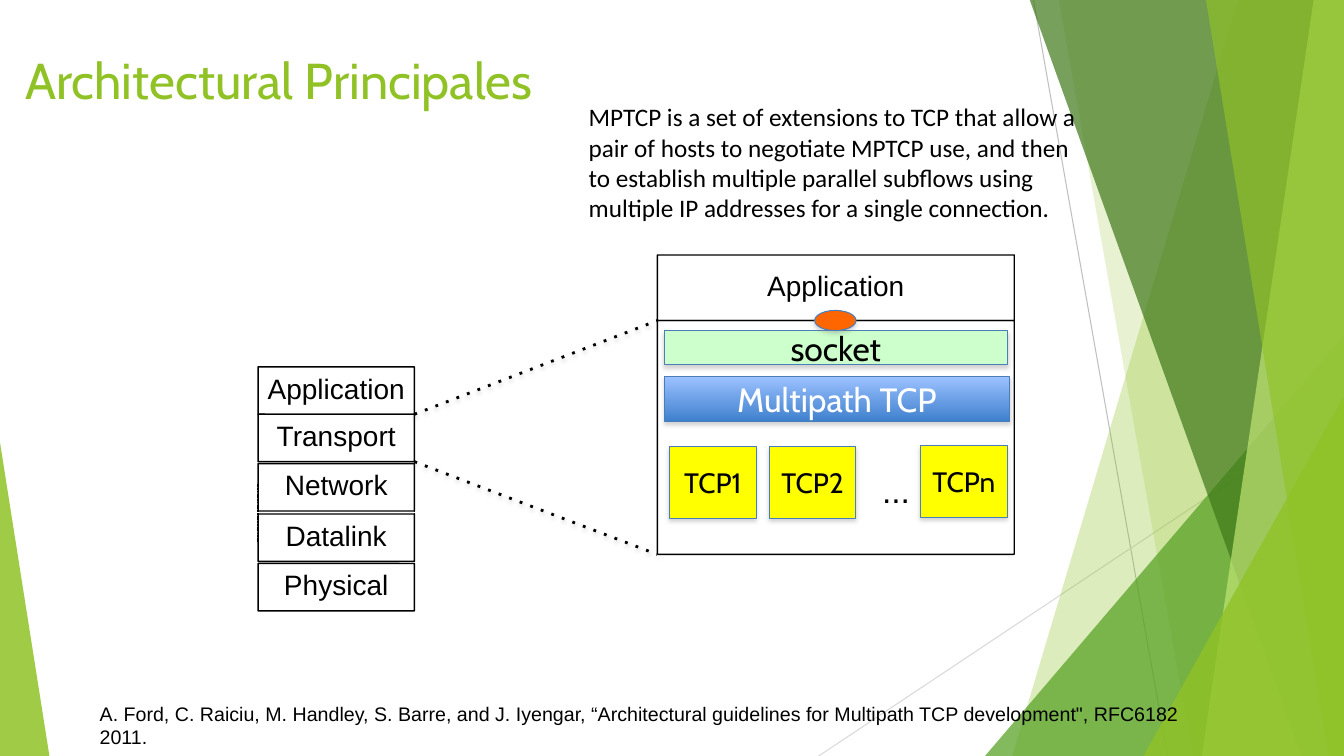
from dataclasses import dataclass

from lxml.etree import SubElement
from pptx import Presentation
from pptx.dml.color import RGBColor
from pptx.enum.shapes import MSO_CONNECTOR, MSO_SHAPE
from pptx.enum.text import MSO_ANCHOR, MSO_AUTO_SIZE, PP_ALIGN
from pptx.oxml.ns import qn
from pptx.util import Inches, Pt


@dataclass(frozen=True)
class Theme:
    heading: str = "Cabin"
    label: str = "Arial"
    body: str = "Calibri"
    title_size: int = 36
    large: int = 24
    medium: int = 20
    body_size: int = 18
    small: int = 14
    black: str = "000000"
    white: str = "FFFFFF"
    lime: str = "90C226"
    pale_lime: str = "C0E474"
    green: str = "54A021"
    dark_green: str = "3F7819"
    gray: str = "BFBFBF"
    light_gray: str = "D9D9D9"
    border: str = "4A7EBB"
    blue_top: str = "9BC1FF"
    blue_bottom: str = "3F80CD"
    mint: str = "CCFFCC"
    yellow: str = "FFFF00"
    orange: str = "FF6600"
    shadow: str = "808080"


T = Theme()


def rgb(value):
    return RGBColor.from_string(value)


def write(tf, text, size=T.medium, font=T.label, color=T.black,
          align=PP_ALIGN.LEFT, anchor=MSO_ANCHOR.TOP, spacing=None,
          wrap=True, margin=None):
    tf.word_wrap = wrap
    tf.vertical_anchor = anchor
    if margin is not None:
        tf.margin_left = tf.margin_right = Inches(margin)
        tf.margin_top = tf.margin_bottom = Inches(margin)
    p = tf.paragraphs[0]
    p.alignment = align
    if spacing:
        p.line_spacing = spacing
    r = p.add_run()
    r.text = text
    r.font.size = Pt(size)
    r.font.name = font
    r.font.color.rgb = rgb(color)


def add_shadow(effects, opacity, distance):
    shadow = SubElement(effects, qn("a:outerShdw"), blurRad=str(Pt(3.1)),
                        dist=str(Pt(distance)), dir="5400000", rotWithShape="0")
    color = SubElement(shadow, qn("a:srgbClr"), val=T.shadow)
    SubElement(color, qn("a:alpha"), val=str(opacity * 1000))


def fill_facet(sp, color, opacity):
    sp.shadow.inherit = False
    sp.fill.solid()
    sp.fill.fore_color.rgb = rgb(color)
    srgb = sp._element.spPr.find(qn("a:solidFill")).find(qn("a:srgbClr"))
    SubElement(srgb, qn("a:alpha"), val=str(opacity * 1000))
    sp.line.fill.background()


def add_facet(s, points, color, opacity):
    corners = [(Inches(x), Inches(y)) for x, y in points]
    builder = s.shapes.build_freeform(*corners[0])
    builder.add_line_segments(corners[1:], close=True)
    fill_facet(builder.convert_to_shape(), color, opacity)


def add_triangle(s, box, apex, color, opacity):
    sp = s.shapes.add_shape(MSO_SHAPE.ISOSCELES_TRIANGLE, *map(Inches, box))
    sp.adjustments[0] = apex
    fill_facet(sp, color, opacity)


def add_line(s, start, end, color=T.black, width=1, dash=None, shadow=False):
    line = s.shapes.add_connector(MSO_CONNECTOR.STRAIGHT,
                                  *map(Inches, (*start, *end)))
    line.line.color.rgb = rgb(color)
    line.line.width = Pt(width)
    spPr = line._element.spPr
    if dash:
        SubElement(spPr.find(qn("a:ln")), qn("a:prstDash"), val=dash)
    effects = SubElement(spPr, qn("a:effectLst"))
    if shadow:
        add_shadow(effects, 38, 1.6)


def add_frame(s, box, text=None):
    sp = s.shapes.add_shape(MSO_SHAPE.ROUNDED_RECTANGLE, *map(Inches, box))
    sp.adjustments[0] = 0.004
    sp.shadow.inherit = False
    sp.fill.background()
    sp.line.color.rgb = rgb(T.black)
    sp.line.width = Pt(1)
    if text:
        write(sp.text_frame, text, align=PP_ALIGN.CENTER,
              anchor=MSO_ANCHOR.MIDDLE, spacing=0.84, margin=0)


def add_block(s, box, fill, text=None, size=T.large, color=T.black,
              kind=MSO_SHAPE.RECTANGLE):
    sp = s.shapes.add_shape(kind, *map(Inches, box))
    sp.shadow.inherit = False
    add_shadow(sp._element.spPr.find(qn("a:effectLst")), 35, 1.8)
    if isinstance(fill, tuple):
        sp.fill.gradient()
        sp.fill.gradient_angle = 270
        for position, (stop, shade) in enumerate(zip(sp.fill.gradient_stops, fill)):
            stop.position = position
            stop.color.rgb = rgb(shade)
    else:
        sp.fill.solid()
        sp.fill.fore_color.rgb = rgb(fill)
    sp.line.color.rgb = rgb(T.border)
    sp.line.width = Pt(0.75)
    if text:
        write(sp.text_frame, text, size=size, font=T.heading, color=color,
              align=PP_ALIGN.CENTER, anchor=MSO_ANCHOR.MIDDLE)


def add_text(s, box, text, **style):
    tb = s.shapes.add_textbox(*map(Inches, box))
    write(tb.text_frame, text, **style)
    tb.text_frame.auto_size = MSO_AUTO_SIZE.SHAPE_TO_FIT_TEXT


def add_title(s, box, text):
    title = s.shapes.title
    title.left, title.top, title.width, title.height = map(Inches, box)
    write(title.text_frame, text, size=T.title_size, font=T.heading,
          color=T.lime, anchor=MSO_ANCHOR.MIDDLE, spacing=0.9)
    title.text_frame.auto_size = MSO_AUTO_SIZE.NONE


def add_backdrop(s):
    top, bottom, right = -0.01, 7.5, 13.33
    add_line(s, (10.25, 0), (11.58, bottom), T.gray, 0.75)
    add_line(s, (right, 4.03), (8.12, bottom), T.light_gray, 0.75)

    def band(upper, lower, color, opacity):
        add_facet(s, [(upper, top), (right, top), (right, bottom),
                      (lower, bottom)], color, opacity)

    band(12.28, 10.04, T.lime, 30)
    band(10.5, 11.83, T.lime, 20)
    add_triangle(s, (9.77, 3.33, 3.56, 4.17), 1, T.green, 72)
    band(10.21, 12.91, T.dark_green, 70)
    band(13.03, 11.92, T.pale_lime, 70)
    band(11.96, 13.18, T.lime, 65)
    add_triangle(s, (11.34, 3.93, 1.99, 3.57), 1, T.lime, 80)
    add_triangle(s, (0, 4.39, 0.49, 3.11), 0, T.lime, 85)


def add_layer_stack(s):
    left, width = 2.56, 1.55
    for x in (left, left + width):
        add_line(s, (x, 5.38), (x, 4.8), dash="sysDashDotDot")
    layers = {"Application": 3.64, "Transport": 4.11, "Network": 4.6,
              "Datalink": 5.1, "Physical": 5.59}
    for name, top in layers.items():
        add_frame(s, (left, top, width, 0.47), name)


def add_transport_detail(s):
    add_frame(s, (6.52, 3.18, 3.54, 2.32))
    add_block(s, (6.59, 3.74, 3.42, 0.44), (T.blue_top, T.blue_bottom),
              "Multipath TCP", color=T.white)
    add_block(s, (6.59, 3.28, 3.4, 0.34), T.mint, "socket")
    for name, left, top in (("TCP1", 6.64, 4.43), ("TCP2", 7.63, 4.43),
                            ("TCPn", 9.13, 4.42)):
        add_block(s, (left, top, 0.86, 0.71), T.yellow, name, size=T.medium)
    add_text(s, (8.65, 4.61, 0.48, 0.5), "...", size=T.large, wrap=False)
    add_frame(s, (6.52, 2.53, 3.54, 0.65), "Application")
    add_block(s, (8.08, 3.08, 0.41, 0.2), T.orange, kind=MSO_SHAPE.OVAL)
    for start, end in ((4.11, 3.18), (4.58, 5.5)):
        add_line(s, (4.11, start), (6.52, end), width=2, dash="dot", shadow=True)


def main():
    prs = Presentation()
    prs.slide_width, prs.slide_height = Inches(13.33), Inches(7.5)
    s = prs.slides.add_slide(prs.slide_layouts[5])
    add_backdrop(s)
    add_title(s, (0.15, 0.57, 12, 0.52), "Architectural Principales")
    add_layer_stack(s)
    add_transport_detail(s)
    add_text(s, (0.89, 6.91, 11.41, 0.34),
             "A. Ford, C. Raiciu, M. Handley, S. Barre, and J. Iyengar, “Architectural "
             "guidelines for Multipath TCP development\", RFC6182 2011.", size=T.small)
    add_text(s, (5.74, 0.96, 5.11, 1.31),
             "MPTCP is a set of extensions to TCP that allow a pair of hosts to negotiate "
             "MPTCP use, and then to establish multiple parallel subflows using multiple "
             "IP addresses for a single connection.", size=T.body_size, font=T.body)
    prs.save("out.pptx")


if __name__ == "__main__":
    main()
